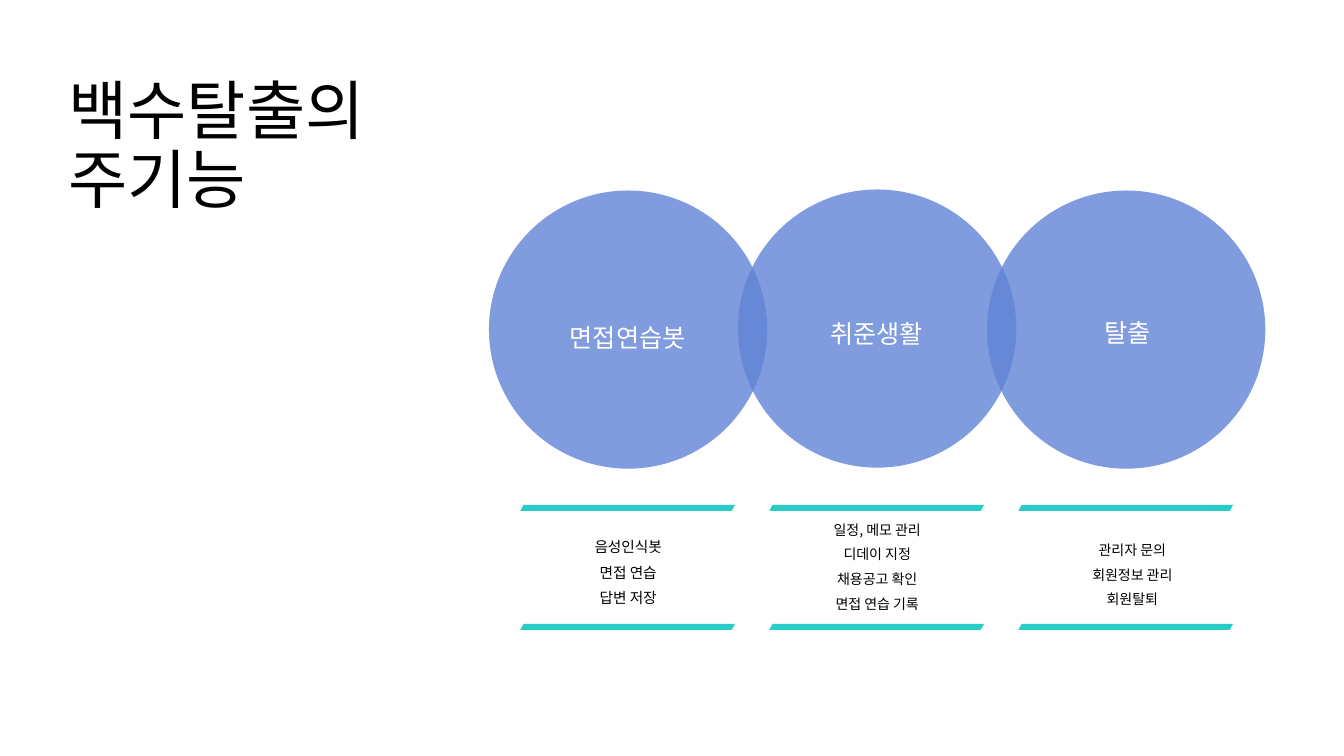
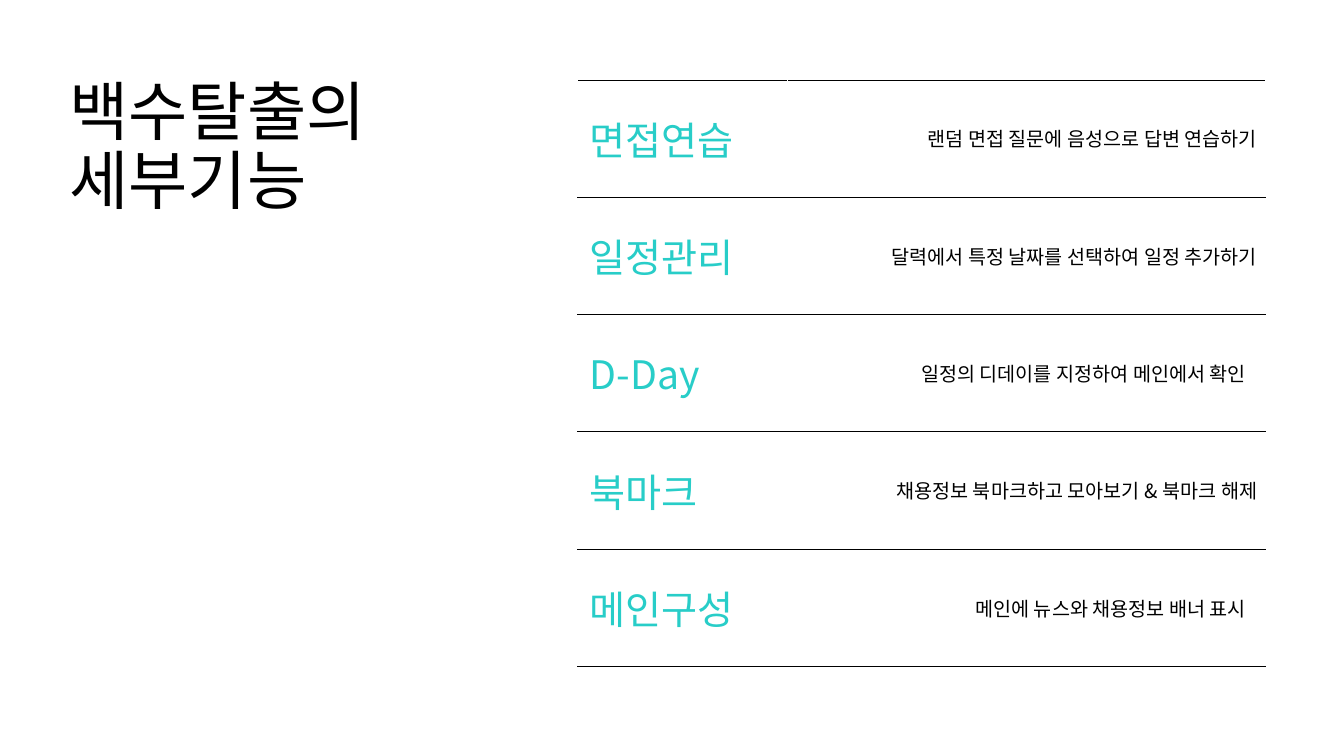
from dataclasses import dataclass

from lxml import etree
from pptx import Presentation
from pptx.dml.color import RGBColor
from pptx.enum.shapes import MSO_SHAPE
from pptx.enum.text import MSO_ANCHOR, MSO_AUTO_SIZE, PP_ALIGN
from pptx.oxml import parse_xml
from pptx.oxml.ns import nsdecls, qn
from pptx.util import Inches, Pt

ELLIPSE, PARALLELOGRAM = MSO_SHAPE.OVAL, MSO_SHAPE.PARALLELOGRAM
LEFT, CENTER, RIGHT = PP_ALIGN.LEFT, PP_ALIGN.CENTER, PP_ALIGN.RIGHT
TOP, MIDDLE = MSO_ANCHOR.TOP, MSO_ANCHOR.MIDDLE
GROW = MSO_AUTO_SIZE.SHAPE_TO_FIT_TEXT


@dataclass(frozen=True)
class Theme:
    font: str = "Noto Sans CJK KR"
    black: str = "000000"
    white: str = "FFFFFF"
    blue: str = "6182D6"
    teal: str = "28CDC8"
    title: float = 46
    feature: float = 28
    label: float = 18
    detail: float = 14


THEME = Theme()


def write(frame, text, *, size, color=THEME.black, align=LEFT, line=1.0, before=0):
    """Fill a text frame, one paragraph per line of text."""
    for index, content in enumerate(text.split("\n")):
        para = frame.paragraphs[0] if index == 0 else frame.add_paragraph()
        para.alignment = align
        para.line_spacing = line
        para.space_before = Pt(before)
        span = para.add_run()
        span.text = content
        span.font.name = THEME.font
        span.font.size = Pt(size)
        span.font.color.rgb = RGBColor.from_string(color)
        east_asian = etree.SubElement(span.font._element, qn("a:ea"))
        east_asian.set("typeface", THEME.font)


def add_text(page, text, left, top, width, height, *, anchor=MIDDLE, **style):
    """Add a text box without margins."""
    box = page.shapes.add_textbox(Inches(left), Inches(top), Inches(width), Inches(height))
    frame = box.text_frame
    frame.word_wrap = True
    frame.auto_size = GROW
    frame.vertical_anchor = anchor
    frame.margin_left = frame.margin_right = frame.margin_top = frame.margin_bottom = 0
    write(frame, text, **style)


deck = Presentation()
deck.slide_width, deck.slide_height = Inches(13.33), Inches(7.5)

# Pages with their titles
pages = []
for title, left, top in (("백수탈출의\n주기능", 0.68, 0.78), ("백수탈출의\n세부기능", 0.69, 0.79)):
    page = deck.slides.add_slide(deck.slide_layouts[6])
    add_text(page, title, left, top, 4.5, 1.37, anchor=TOP, size=THEME.title, line=0.9)
    pages.append(page)
overview, details = pages

# Main functions: label, circle top, label left and top, list left, top, height and size, list
functions = [
    ("면접연습봇", 1.89, 5.11, 3.23, 5.19, 5.28, 0.74, 10.5,
     "음성인식봇\n면접 연습\n답변 저장"),
    ("취준생활", 1.88, 7.58, 3.19, 7.66, 5.12, 0.95, 10,
     "일정, 메모 관리\n디데이 지정\n채용공고 확인\n면접 연습 기록"),
    ("탈출", 1.89, 10.07, 3.18, 10.19, 5.32, 0.71, 10,
     "관리자 문의\n회원정보 관리\n회원탈퇴"),
]
column_step = 2.47
for column, function in enumerate(functions):
    (label, circle_top, label_left, label_top,
     list_left, list_top, list_height, list_size, items) = function
    offset = column * column_step

    # Circle and the two bars below it
    outlines = [
        (ELLIPSE, 4.85, circle_top, 2.76, 2.76, THEME.blue),
        (PARALLELOGRAM, 5.16, 5.01, 2.13, 0.06, THEME.teal),
        (PARALLELOGRAM, 5.16, 6.19, 2.13, 0.06, THEME.teal),
    ]
    for kind, left, top, width, height, color in outlines:
        shape = overview.shapes.add_shape(
            kind, Inches(left + offset), Inches(top), Inches(width), Inches(height))
        shape.shadow.inherit = False
        shape.line.fill.background()
        shape.fill.solid()
        shape.fill.fore_color.rgb = RGBColor.from_string(color)
        if kind == ELLIPSE:
            fill_color = shape._element.spPr.find(qn("a:solidFill"))[0]
            etree.SubElement(fill_color, qn("a:alpha")).set("val", "80000")
        else:
            shape.adjustments[0] = 0.55

    # Label and list
    add_text(overview, label, label_left, label_top, 2.23, 0.27,
             size=THEME.label, color=THEME.white, align=CENTER, line=0.9, before=10)
    add_text(overview, items, list_left, list_top, 2.08, list_height,
             size=list_size, align=CENTER, line=1.3, before=2)

# Detailed functions: name, description, right margin
features = [
    ("면접연습", "랜덤 면접 질문에 음성으로 답변 연습하기", 0.08),
    ("일정관리", "달력에서 특정 날짜를 선택하여 일정 추가하기", 0.08),
    ("D-Day", "일정의 디데이를 지정하여 메인에서 확인", 0.19),
    ("북마크", "채용정보 북마크하고 모아보기 & 북마크 해제", 0.08),
    ("메인구성", "메인에 뉴스와 채용정보 배너 표시", 0.19),
]
table = details.shapes.add_table(
    len(features), 2, Inches(5.73), Inches(0.79), Inches(6.82), Inches(5.82)).table
table.first_row = table.horz_banding = False
for column, width in zip(table.columns, (2.08, 4.74)):
    column.width = Inches(width)

for row, (name, description, right_margin) in enumerate(features):
    table.rows[row].height = Inches(5.82 / len(features))
    name_cell, description_cell = table.rows[row].cells
    for cell in (name_cell, description_cell):
        cell.vertical_anchor = MIDDLE
        cell.margin_left = cell.margin_right = cell.margin_top = cell.margin_bottom = 0
        cell.fill.solid()
        cell.fill.fore_color.rgb = RGBColor.from_string(THEME.white)
        properties = cell._tc.get_or_add_tcPr()
        for position, side in enumerate(("lnT", "lnB")):
            properties.insert(position, parse_xml(
                f'<a:{side} {nsdecls("a")} w="{Pt(0.25)}"><a:solidFill>'
                f'<a:srgbClr val="{THEME.black}"/></a:solidFill></a:{side}>'))
    name_cell.margin_left = Inches(0.12)
    description_cell.margin_right = Inches(right_margin)
    write(name_cell.text_frame, name, size=THEME.feature, color=THEME.teal)
    write(description_cell.text_frame, description, size=THEME.detail, align=RIGHT)

deck.save("out.pptx")
